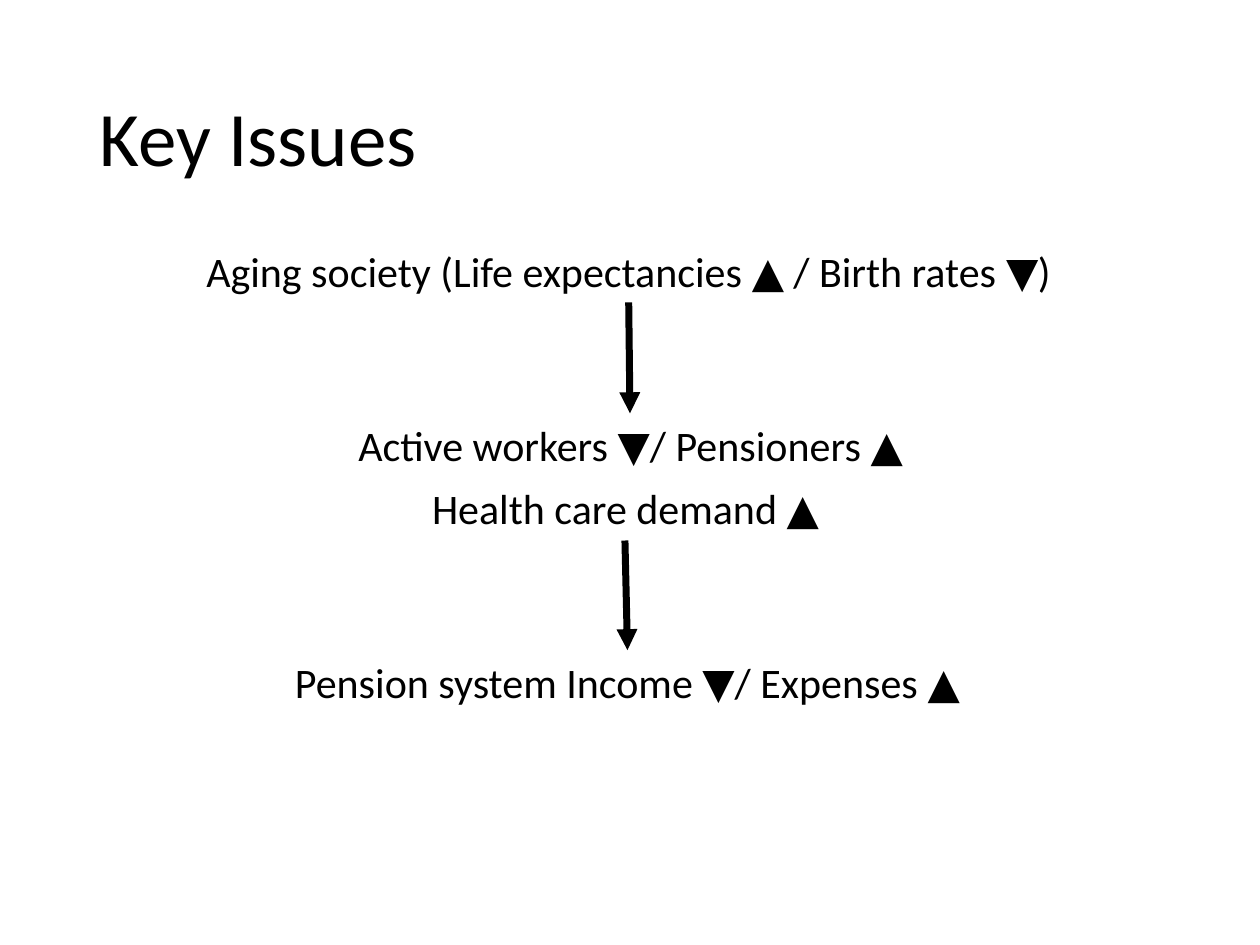
from dataclasses import dataclass

from lxml.etree import SubElement
from pptx import Presentation
from pptx.dml.color import RGBColor
from pptx.enum.shapes import MSO_CONNECTOR
from pptx.enum.text import MSO_ANCHOR, PP_ALIGN
from pptx.oxml.ns import qn
from pptx.util import Inches, Pt

FONT = "Calibri"
BLACK = "000000"


@dataclass
class Statement:
    text: str
    left: float
    top: float
    width: float
    height: float = 0.5


@dataclass
class Arrow:
    x1: float
    y1: float
    x2: float
    y2: float


STATEMENTS = [
    Statement("Aging society (Life expectancies ▲ / Birth rates ▼)", -0.01, 1.9, 10),
    Statement("Active workers ▼/ Pensioners ▲", 0.04, 3.28, 9.93),
    Statement("Health care demand ▲", 0, 3.78, 9.93),
    Statement("Pension system Income ▼/ Expenses ▲", 0, 5.16, 9.96, 1.11),
]
ARROWS = [Arrow(4.99, 2.4, 5, 3.28), Arrow(4.96, 4.29, 4.98, 5.16)]


def rgb(color: str) -> RGBColor:
    return RGBColor.from_string(color)


def write_text(tf, text: str, *, size: float, align=PP_ALIGN.LEFT,
               anchor=MSO_ANCHOR.TOP, spacing: float = 1.0,
               color: str = BLACK) -> None:
    tf.word_wrap = True
    tf.vertical_anchor = anchor
    p = tf.paragraphs[0]
    p.alignment = align
    p.line_spacing = spacing
    r = p.add_run()
    r.text = text
    r.font.name = FONT
    r.font.size = Pt(size)
    r.font.color.rgb = rgb(color)


def place_title(s, text: str) -> None:
    sp = s.shapes.title
    sp.left, sp.top = Inches(0.69), Inches(0.4)
    sp.width, sp.height = Inches(8.62), Inches(1.45)
    write_text(sp.text_frame, text, size=44, anchor=MSO_ANCHOR.MIDDLE, spacing=0.9)


def draw_statement(s, item: Statement) -> None:
    sp = s.shapes.add_textbox(Inches(item.left), Inches(item.top),
                              Inches(item.width), Inches(item.height))
    write_text(sp.text_frame, item.text, size=24, align=PP_ALIGN.CENTER)


def draw_arrow(s, item: Arrow) -> None:
    sp = s.shapes.add_connector(MSO_CONNECTOR.STRAIGHT,
                                Inches(item.x1), Inches(item.y1),
                                Inches(item.x2), Inches(item.y2))
    sp.line.width = Pt(4)
    sp.line.color.rgb = rgb(BLACK)
    SubElement(sp.line._get_or_add_ln(), qn("a:tailEnd"), type="triangle")
    SubElement(sp._element.spPr, qn("a:effectLst"))


def main() -> None:
    prs = Presentation()
    prs.slide_width, prs.slide_height = Inches(10), Inches(7.5)
    s = prs.slides.add_slide(prs.slide_layouts[5])
    place_title(s, "Key Issues")
    for statement in STATEMENTS:
        draw_statement(s, statement)
    for arrow in ARROWS:
        draw_arrow(s, arrow)
    prs.save("out.pptx")


if __name__ == "__main__":
    main()
